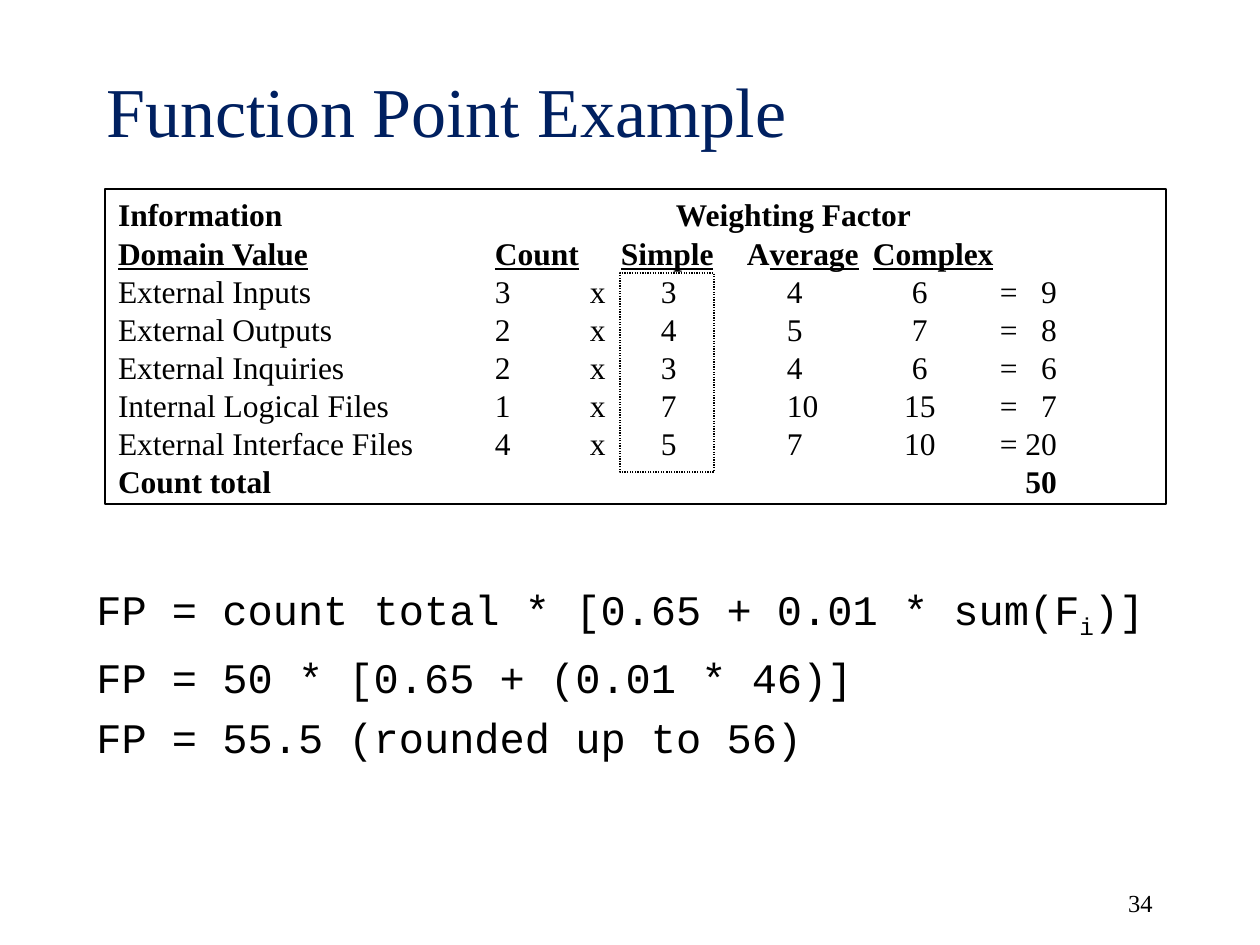
import dataclasses

import pptx
import pptx.dml.color
import pptx.enum.dml
import pptx.enum.shapes
import pptx.enum.text
import pptx.util

PX = 914400 // 126
BLACK = pptx.dml.color.RGBColor(0x00, 0x00, 0x00)
NAVY = pptx.dml.color.RGBColor(0x00, 0x20, 0x60)
SERIF = "Times New Roman"
MONO = "Courier New"
NO_GRID_STYLE = "{2D5ABB26-0587-4C30-8999-92F81FD0307C}"
ALIGN = pptx.enum.text.PP_ALIGN
ANCHOR = pptx.enum.text.MSO_ANCHOR


@dataclasses.dataclass(frozen=True)
class Box:
    left: int
    top: int
    width: int
    height: int

    def emu(self) -> tuple[int, ...]:
        return tuple(v * PX for v in dataclasses.astuple(self))


@dataclasses.dataclass(frozen=True)
class Column:
    header: str
    width: int
    indent: int = 0
    right: int = 0
    align: ALIGN = ALIGN.LEFT


TABLE_LEFT, TABLE_TOP, ROW_HEIGHT = 118, 197, 38
COLUMNS = [
    Column("Domain Value", 377),
    Column("Count", 95),
    Column("", 31),
    Column("Simple", 126, indent=40),
    Column("Average", 126, indent=40),
    Column("Complex", 127, right=33, align=ALIGN.CENTER),
    Column("", 22),
    Column("", 35, align=ALIGN.RIGHT),
]
DOMAINS = [
    ("External Inputs", 3, 3, 4, 6),
    ("External Outputs", 2, 4, 5, 7),
    ("External Inquiries", 2, 3, 4, 6),
    ("Internal Logical Files", 1, 7, 10, 15),
    ("External Interface Files", 4, 5, 7, 10),
]
FORMULAS = [
    ("FP = count total * [0.65 + 0.01 * sum(F", "i", ")]"),
    ("FP = 50 * [0.65 + (0.01 * 46)]",),
    ("FP = 55.5 (rounded up to 56)",),
]


def add_run(p, text: str, size: int, font: str = SERIF, color=BLACK, bold=False, underline=False):
    r = p.add_run()
    r.text = text
    r.font.size = pptx.util.Pt(size)
    r.font.name = font
    r.font.color.rgb = color
    r.font.bold = bold
    r.font.underline = underline
    return r


def add_frame(s, box: Box, dash=None) -> None:
    sp = s.shapes.add_shape(pptx.enum.shapes.MSO_SHAPE.RECTANGLE, *box.emu())
    sp.shadow.inherit = False
    sp.fill.background()
    sp.line.color.rgb = BLACK
    sp.line.width = pptx.util.Pt(0.75)
    if dash is not None:
        sp.line.dash_style = dash


def add_text_box(s, box: Box):
    tf = s.shapes.add_textbox(*box.emu()).text_frame
    tf.word_wrap = True
    return tf


def add_title(s, box: Box, text: str) -> None:
    sp = s.shapes.title
    sp.left, sp.top, sp.width, sp.height = box.emu()
    tf = sp.text_frame
    tf.vertical_anchor = ANCHOR.BOTTOM
    tf.auto_size = pptx.enum.text.MSO_AUTO_SIZE.NONE
    tf.paragraphs[0].alignment = ALIGN.LEFT
    add_run(tf.paragraphs[0], text, 40, color=NAVY)


def fill_cell(cell, text: str, indent=0, right=0, align=ALIGN.LEFT, bold=False, underline=False) -> None:
    cell.margin_left, cell.margin_right = indent * PX, right * PX
    p = cell.text_frame.paragraphs[0]
    p.alignment = align
    if text == "Average":
        add_run(p, "A", 18, bold=bold)
        text = text[1:]
    add_run(p, text, 18, bold=bold, underline=underline)


def add_weights(s) -> None:
    rows = len(DOMAINS) + 3
    box = Box(TABLE_LEFT, TABLE_TOP, sum(c.width for c in COLUMNS), rows * ROW_HEIGHT)
    table = s.shapes.add_table(rows, len(COLUMNS), *box.emu()).table
    table._tbl.tblPr[0].text = NO_GRID_STYLE
    table.first_row = table.horz_banding = False
    for column, spec in zip(table.columns, COLUMNS):
        column.width = spec.width * PX
    for row in table.rows:
        row.height = ROW_HEIGHT * PX
    for cell in table.iter_cells():
        cell.fill.background()
        cell.margin_left = cell.margin_right = cell.margin_top = cell.margin_bottom = 0
        cell.vertical_anchor = ANCHOR.MIDDLE
        cell.text_frame.paragraphs[0].font.size = pptx.util.Pt(18)

    table.cell(0, 3).merge(table.cell(0, 5))
    fill_cell(table.cell(0, 0), "Information", bold=True)
    fill_cell(table.cell(0, 3), "Weighting Factor", indent=55, bold=True)
    for i, spec in enumerate(COLUMNS):
        if spec.header:
            fill_cell(table.cell(1, i), spec.header, bold=True, underline=True)
    for row, (name, count, simple, average, complex_) in enumerate(DOMAINS, start=2):
        values = (name, count, "x", simple, average, complex_, "=", count * simple)
        for i, (spec, value) in enumerate(zip(COLUMNS, values)):
            fill_cell(table.cell(row, i), str(value), spec.indent, spec.right, spec.align)
    total = sum(count * simple for _, count, simple, _, _ in DOMAINS)
    fill_cell(table.cell(rows - 1, 0), "Count total", bold=True)
    fill_cell(table.cell(rows - 1, 7), str(total), align=ALIGN.RIGHT, bold=True)


def add_formulas(s, box: Box) -> None:
    tf = add_text_box(s, box)
    for i, parts in enumerate(FORMULAS):
        p = tf.add_paragraph() if i else tf.paragraphs[0]
        p.space_before = pptx.util.Pt(6)
        for part in parts:
            r = add_run(p, part, 24, font=MONO)
            if part == "i":
                r.font._element.set("baseline", "-25000")


def add_page_number(s, box: Box, number: int) -> None:
    tf = add_text_box(s, box)
    tf.vertical_anchor = ANCHOR.BOTTOM
    tf.paragraphs[0].alignment = ALIGN.RIGHT
    add_run(tf.paragraphs[0], str(number), 14)


def main() -> None:
    prs = pptx.Presentation()
    prs.slide_width, prs.slide_height = 1260 * PX, 945 * PX
    s = prs.slides.add_slide(prs.slide_layouts[5])
    add_title(s, Box(94, 0, 1071, 158), "Function Point Example")
    add_frame(s, Box(105, 189, 1061, 315))
    add_weights(s)
    add_frame(s, Box(620, 273, 94, 199), pptx.enum.dml.MSO_LINE.ROUND_DOT)
    add_formulas(s, Box(84, 577, 1124, 231))
    add_page_number(s, Box(903, 861, 262, 63), 34)
    prs.save("out.pptx")


if __name__ == "__main__":
    main()
